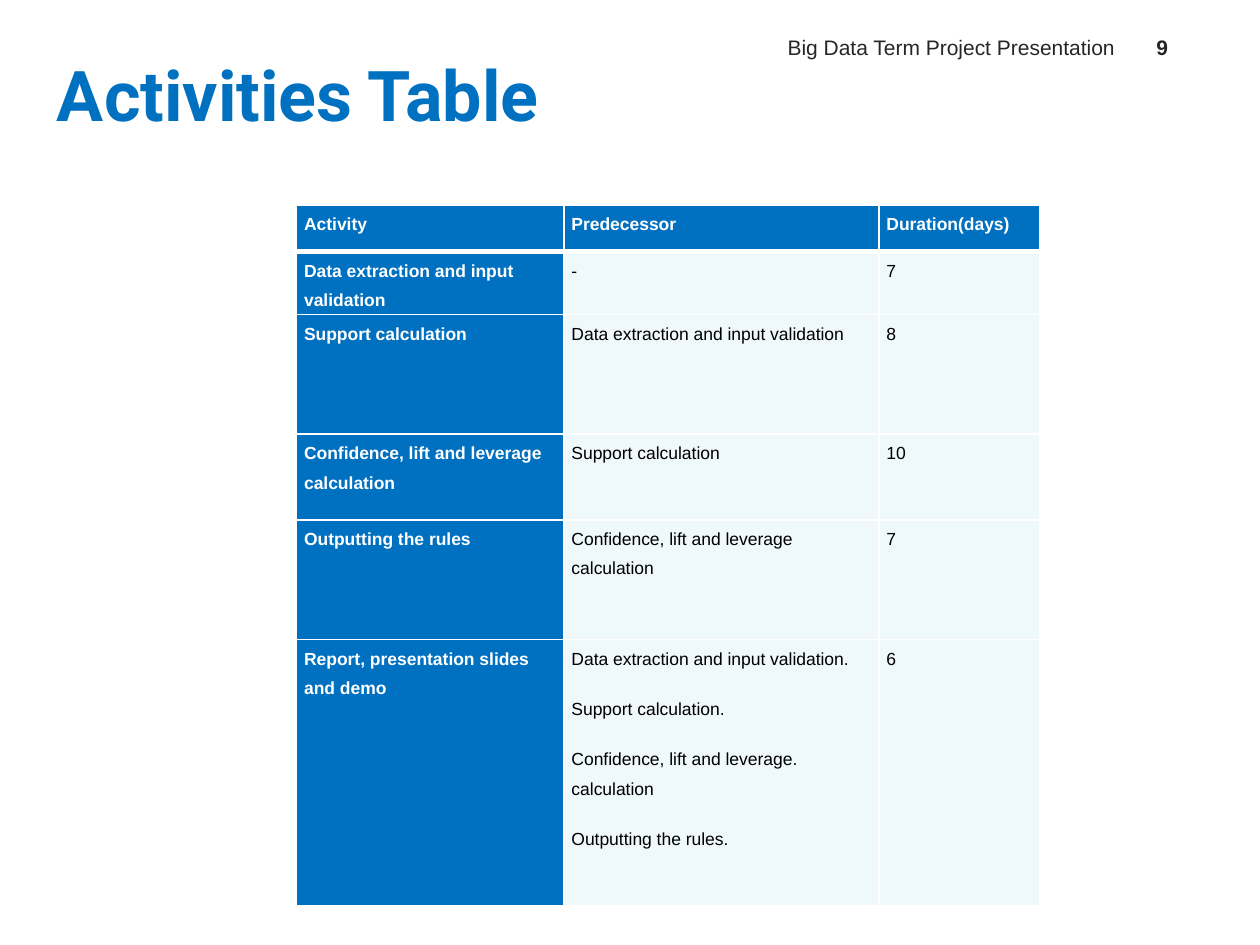
from lxml.etree import SubElement
from pptx import Presentation
from pptx.dml.color import RGBColor
from pptx.enum.text import MSO_ANCHOR as Anchor, PP_ALIGN as Align
from pptx.oxml.ns import qn
from pptx.util import Cm, Pt

BLUE = RGBColor(0x00, 0x70, 0xC0)
PALE = RGBColor(0xEF, 0xF8, 0xFA)
WHITE = RGBColor(0xFF, 0xFF, 0xFF)
BLACK = RGBColor(0x00, 0x00, 0x00)
GREY = RGBColor(0x26, 0x26, 0x26)

# Content: one tuple per activity, several predecessors as a list
TITLE = "Activities Table"
RUNNING_HEAD = "Big Data Term Project Presentation"
PAGE_NUMBER = "9"
ACTIVITIES = [
    ("Activity", ["Predecessor"], "Duration(days)"),
    ("Data extraction and input validation", ["-"], "7"),
    ("Support calculation", ["Data extraction and input validation"], "8"),
    ("Confidence, lift and leverage calculation", ["Support calculation"], "10"),
    ("Outputting the rules", ["Confidence, lift and leverage calculation"], "7"),
    ("Report, presentation slides and demo",
     ["Data extraction and input validation.",
      "Support calculation.",
      "Confidence, lift and leverage. calculation",
      "Outputting the rules."], "6"),
]
COLUMN_WIDTHS = [5.39, 6.35, 3.23]
ROW_HEIGHTS = [0.94, 1.27, 2.41, 1.73, 2.41, 5.36]


def style(paragraph, font_name, size, color, bold):
    for run in paragraph.runs:
        font = run.font
        font.name, font.size, font.bold = font_name, Pt(size), bold
        font.color.rgb = color


def add_label(slide, text, box, font_name, size, color, bold, align, anchor):
    label = slide.shapes.add_textbox(*(Cm(length) for length in box))
    frame = label.text_frame
    frame.word_wrap = True
    frame.vertical_anchor = anchor
    frame.text = text
    frame.paragraphs[0].alignment = align
    style(frame.paragraphs[0], font_name, size, color, bold)
    return frame


def set_borders(cell, widths):
    properties = cell._tc.get_or_add_tcPr()
    for side, width in widths.items():
        line = SubElement(properties, qn(f"a:ln{side}"), w=str(Pt(width)))
        fill = SubElement(line, qn("a:solidFill"))
        SubElement(fill, qn("a:srgbClr"), val=str(WHITE))


def fill_cell(cell, lines, row, column):
    heading = row == 0 or column == 0
    set_borders(cell, {"L": 1, "R": 1,
                       "T": 3 if row == 1 else 1,
                       "B": 3 if row == 0 else 1})
    cell.fill.solid()
    cell.fill.fore_color.rgb = BLUE if heading else PALE
    cell.margin_left = cell.margin_right = Cm(0.15)
    cell.margin_top = cell.margin_bottom = 0
    cell.text_frame.text = "\n".join(lines)
    for index, paragraph in enumerate(cell.text_frame.paragraphs):
        paragraph.line_spacing = 1.5
        if index:
            paragraph.space_before = Pt(12)
        style(paragraph, "Arial", 10, WHITE if heading else BLACK, heading)


def main():
    deck = Presentation()
    deck.slide_width, deck.slide_height = Cm(25.4), Cm(19.05)
    slide = deck.slides.add_slide(deck.slide_layouts[6])

    # Title and running head
    title = add_label(slide, TITLE, (0.64, 0.79, 13.97, 2.21), "Roboto", 40,
                      BLUE, True, Align.LEFT, Anchor.MIDDLE)
    title.margin_left, title.margin_right = Cm(0.51), 0
    add_label(slide, RUNNING_HEAD, (15.24, 0.48, 7.49, 0.84), "Arial", 12,
              GREY, False, Align.RIGHT, Anchor.BOTTOM)
    add_label(slide, PAGE_NUMBER, (22.73, 0.48, 1.4, 0.84), "Arial", 12,
              GREY, True, Align.CENTER, Anchor.BOTTOM)

    # Activities table
    table = slide.shapes.add_table(
        len(ACTIVITIES), len(COLUMN_WIDTHS), Cm(5.98), Cm(4.13),
        Cm(sum(COLUMN_WIDTHS)), Cm(sum(ROW_HEIGHTS))).table
    for column, width in zip(table.columns, COLUMN_WIDTHS):
        column.width = Cm(width)
    for row, height in zip(table.rows, ROW_HEIGHTS):
        row.height = Cm(height)
    for row, (activity, predecessors, duration) in enumerate(ACTIVITIES):
        for column, lines in enumerate(([activity], predecessors, [duration])):
            fill_cell(table.cell(row, column), lines, row, column)

    deck.save("out.pptx")


if __name__ == "__main__":
    main()
